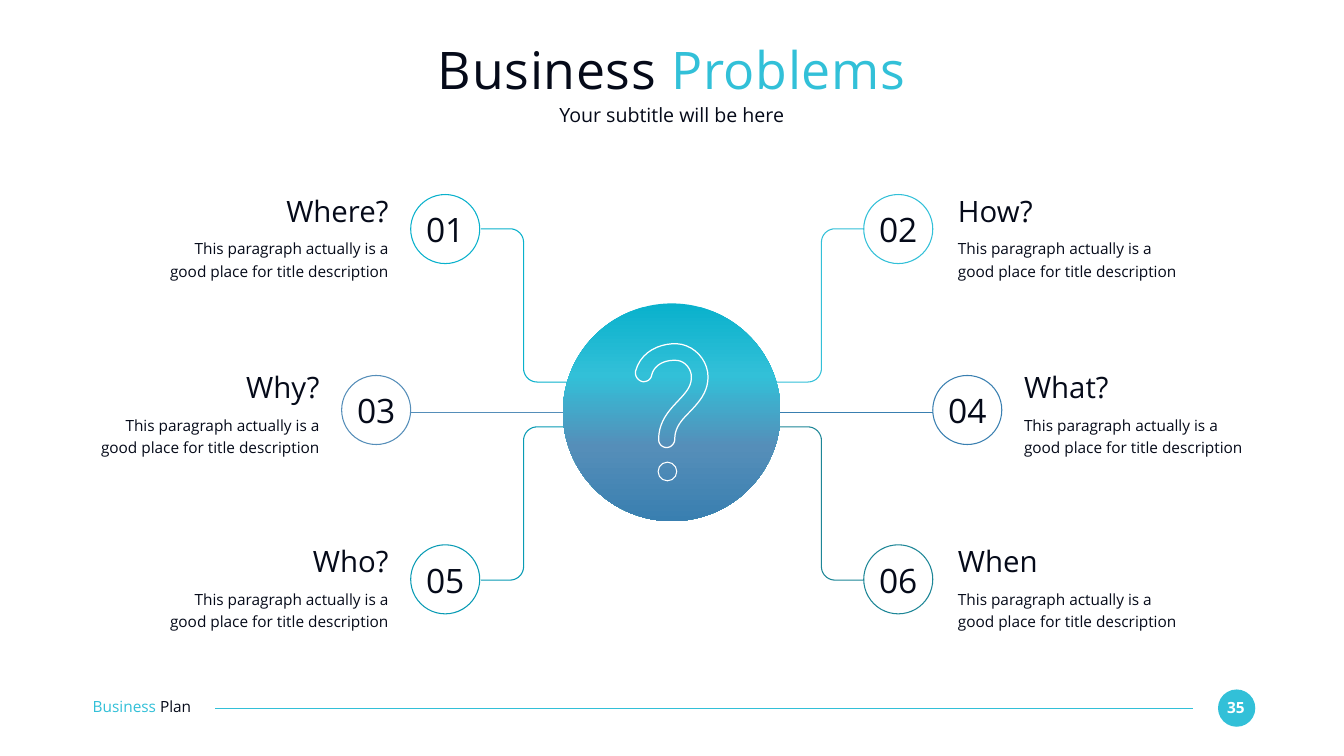
from copy import deepcopy
from lxml import etree
from pptx import Presentation
from pptx import util as u
from pptx.dml.color import RGBColor
from pptx.enum import shapes, text
from pptx.oxml.ns import qn

PX = 9144  # 100 px to the inch
FONT = "Open Sans"
WHITE = RGBColor(0xFF, 0xFF, 0xFF)
INK = RGBColor(0x05, 0x0A, 0x19)
CYAN = RGBColor(0x09, 0xB1, 0xCC)
AQUA = RGBColor(0x32, 0xC0, 0xD8)
STEEL = RGBColor(0x55, 0x8E, 0xB9)
BLUE = RGBColor(0x39, 0x7F, 0xB0)
TEAL = RGBColor(0x08, 0x9B, 0xB4)
PINE = RGBColor(0x1D, 0x86, 0x97)
LEFT, CENTER, RIGHT = text.PP_ALIGN.LEFT, text.PP_ALIGN.CENTER, text.PP_ALIGN.RIGHT
BODY = "This paragraph actually is a good place for title description"
CIRCLE = 137
MIRROR_X, MIRROR_Y = 2669, 1605  # sums of mirrored coordinates

# number, heading, colour, circle left and top, text left, top and width, alignment
QUESTIONS = [
    ("01", "Where?", CYAN, 815, 386, 313, 383, 458, RIGHT),
    ("02", "How?", AQUA, 1714, 386, 1901, 383, 458, LEFT),
    ("03", "Why?", STEEL, 678, 745, 183, 733, 451, RIGHT),
    ("04", "What?", BLUE, 1851, 745, 2032, 733, 451, LEFT),
    ("05", "Who?", TEAL, 815, 1081, 313, 1078, 458, RIGHT),
    ("06", "When", PINE, 1714, 1081, 1901, 1078, 458, LEFT),
]

# Each curve: two control points and an end point
MARK_START = (1343, 682)
MARK_CURVES = [
    ((1311, 681), (1272, 696), (1261, 737)),
    ((1260, 746), (1265, 754), (1274, 757)),
    ((1277, 758), (1282, 757), (1286, 755)),
    ((1289, 753), (1292, 750), (1293, 745)),
    ((1298, 723), (1320, 714), (1341, 715)),
    ((1358, 715), (1372, 731), (1372, 748)),
    ((1372, 766), (1363, 777), (1346, 795)),
    ((1328, 814), (1307, 836), (1307, 872)),
    ((1307, 881), (1314, 888), (1323, 888)),
    ((1331, 888), (1339, 881), (1339, 871)),
    ((1339, 848), (1353, 833), (1369, 817)),
    ((1386, 799), (1405, 779), (1405, 748)),
    ((1405, 714), (1377, 684), MARK_START),
]


def add_text(slide, left, top, width, height, runs, *, size, align=LEFT,
             bold=False, spacing=None, line_spacing=None, anchor=text.MSO_ANCHOR.TOP):
    """Add one paragraph made of (words, colour) runs."""
    box = slide.shapes.add_textbox(left * PX, top * PX, width * PX, height * PX)
    frame = box.text_frame
    frame.word_wrap = True
    frame.vertical_anchor = anchor
    frame.margin_left = frame.margin_right = frame.margin_top = frame.margin_bottom = 0
    paragraph = frame.paragraphs[0]
    paragraph.alignment = align
    paragraph.line_spacing = line_spacing
    for words, color in runs:
        run = paragraph.add_run()
        run.text = words
        run.font.name, run.font.size, run.font.bold = FONT, u.Pt(size), bold
        run.font.color.rgb = color
        if spacing:
            run.font._element.set("spc", str(spacing * 100))


def style_line(shape, color, width=1.5):
    shape.line.color.rgb = color
    shape.line.width = u.Pt(width)


def add_circle(slide, left, top, diameter, *, fill=None, line=None):
    circle = slide.shapes.add_shape(shapes.MSO_SHAPE.OVAL, left * PX, top * PX,
                                    diameter * PX, diameter * PX)
    circle.shadow.inherit = False
    if fill is None:
        circle.fill.background()
    else:
        circle.fill.solid()
        circle.fill.fore_color.rgb = fill
    if line is None:
        circle.line.fill.background()
    else:
        style_line(circle, line)
    return circle


def add_line(slide, start_x, end_x, y, color):
    line = slide.shapes.add_connector(shapes.MSO_CONNECTOR.STRAIGHT,
                                      start_x * PX, y * PX, end_x * PX, y * PX)
    style_line(line, color)
    etree.SubElement(line._element.spPr, qn("a:effectLst"))


def curve_points(start, first, second, end, steps=10):
    """Sample a cubic curve, without its start point."""
    for step in range(1, steps + 1):
        t = step / steps
        weights = ((1 - t) ** 3, 3 * t * (1 - t) ** 2, 3 * t * t * (1 - t), t ** 3)
        yield tuple(sum(w * point[axis] for w, point in
                        zip(weights, (start, first, second, end))) for axis in (0, 1))


def add_outline(slide, points, color, *, close=False, width=1.5):
    points = [(round(x * PX), round(y * PX)) for x, y in points]
    builder = slide.shapes.build_freeform(*points[0], scale=1.0)
    builder.add_line_segments(points[1:], close=close)
    outline = builder.convert_to_shape()
    outline.shadow.inherit = False
    outline.fill.background()
    style_line(outline, color, width)


def add_elbow(slide, color, flip_x, flip_y):
    """Rounded double bend from a numbered circle to the hub."""
    points = [(954, 454), (1012, 454)]
    points += curve_points((1012, 454), (1027, 454), (1039, 466), (1039, 481))
    points.append((1039, 731))
    points += curve_points((1039, 731), (1039, 746), (1051, 758), (1066, 758))
    points.append((1139, 758))
    add_outline(slide, [(MIRROR_X - x if flip_x else x, MIRROR_Y - y if flip_y else y)
                        for x, y in points], color)


def add_question(slide, number, heading, color, circle_left, circle_top,
                 left, top, width, align):
    add_circle(slide, circle_left, circle_top, CIRCLE, line=color)
    add_text(slide, circle_left + 14, circle_top + 29, 109, 81, [(number, INK)],
             size=48, align=CENTER)
    add_text(slide, left, top, width, 71, [(heading, INK)], size=42, align=align)
    add_text(slide, left, top + 85, width, 89, [(BODY, INK)], size=22, align=align,
             line_spacing=1.2)


def add_hub(slide):
    hub = add_circle(slide, 1117, 602, 432)
    hub.fill.gradient()
    hub.fill.gradient_angle = 270
    stop_list = hub._element.spPr.find(".//" + qn("a:gsLst"))
    for _ in range(2):
        stop_list.append(deepcopy(stop_list[0]))
    colors = zip((0, 0.33, 0.66, 1), (CYAN, AQUA, STEEL, BLUE))
    for stop, (position, color) in zip(hub.fill.gradient_stops, colors):
        stop.position = position
        stop.color.rgb = color
    # Question mark
    points = [MARK_START]
    for curve in MARK_CURVES:
        points += curve_points(points[-1], *curve)
    add_outline(slide, points, WHITE, close=True, width=1.75)
    add_circle(slide, 1306, 917, 37, line=WHITE)


def add_footer(slide):
    add_circle(slide, 2417, 1368, 74, fill=AQUA)
    add_text(slide, 2423, 1385, 59, 37, [("35", WHITE)], size=22, align=CENTER, bold=True)
    add_line(slide, 2367, 427, 1405, AQUA)
    add_text(slide, 184, 1384, 259, 37, [("Business ", AQUA), ("Plan", INK)], size=22)


def main():
    presentation = Presentation()
    presentation.slide_width, presentation.slide_height = 2667 * PX, 1500 * PX
    slide = presentation.slides.add_slide(presentation.slide_layouts[6])
    add_footer(slide)
    # Title and subtitle
    add_text(slide, 183, 73, 2300, 127, [("Business ", INK), ("Problems", AQUA)],
             size=74, align=CENTER, spacing=1, anchor=text.MSO_ANCHOR.MIDDLE)
    add_text(slide, 183, 203, 2300, 49, [("Your subtitle will be here", INK)],
             size=28, align=CENTER, anchor=text.MSO_ANCHOR.MIDDLE)
    # Links to the hub
    add_line(slide, 1139, 815, 818, STEEL)
    add_line(slide, 1851, 1530, 818, BLUE)
    for color, flip_x, flip_y in ((CYAN, False, False), (AQUA, True, False),
                                  (TEAL, False, True), (PINE, True, True)):
        add_elbow(slide, color, flip_x, flip_y)
    for question in QUESTIONS:
        add_question(slide, *question)
    add_hub(slide)
    presentation.save("out.pptx")


if __name__ == "__main__":
    main()
